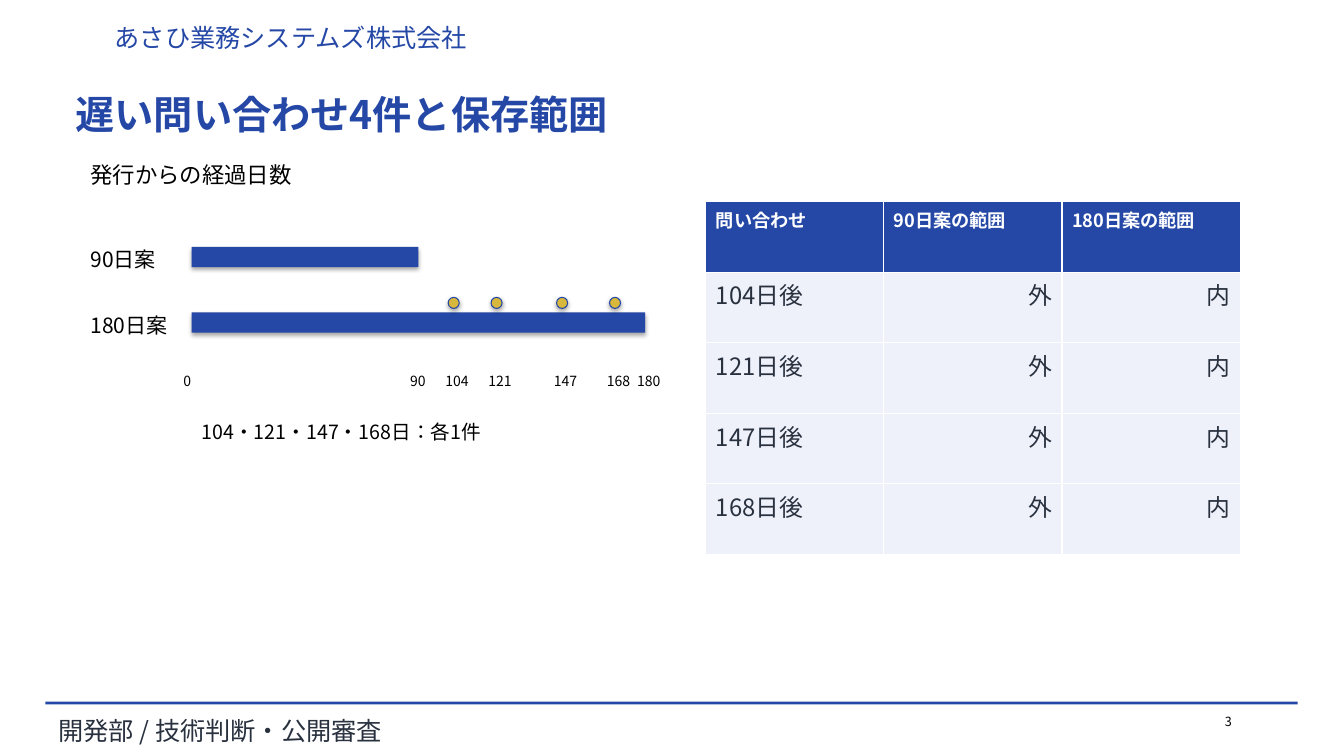
from lxml import etree
from pptx import Presentation
from pptx.dml.color import RGBColor
from pptx.enum.lang import MSO_LANGUAGE_ID
from pptx.enum.shapes import MSO_SHAPE
from pptx.enum.text import MSO_ANCHOR, PP_ALIGN
from pptx.oxml.ns import qn
from pptx.util import Inches, Pt

RECTANGLE, OVAL = MSO_SHAPE.RECTANGLE, MSO_SHAPE.OVAL
LEFT, RIGHT, TOP = PP_ALIGN.LEFT, PP_ALIGN.RIGHT, MSO_ANCHOR.TOP
JAPANESE = MSO_LANGUAGE_ID.JAPANESE
FONT = "Noto Sans CJK JP"
COLORS = {"blue": "2548A6", "outline": "2145A5", "gold": "D8B83C",
          "ink": "29313F", "black": "000000", "white": "FFFFFF", "pale": "EEF1FA"}


def write(frame, text, size, color, bold=False, align=LEFT):
    para = frame.paragraphs[0]
    para.alignment = align
    span = para.add_run()
    span.text = text
    formats = {"name": FONT, "size": Pt(size), "bold": bold, "language_id": JAPANESE}
    for name, value in formats.items():
        setattr(span.font, name, value)
    span.font.color.rgb = RGBColor.from_string(COLORS[color])
    east_asian = etree.Element(qn("a:ea"), typeface=FONT)
    span.font._element.find(qn("a:latin")).addnext(east_asian)


def draw(kind, left, top, width, height, fill, shadow=False):
    shape = page.shapes.add_shape(kind, Inches(left), Inches(top), Inches(width), Inches(height))
    shape.fill.solid()
    shape.fill.fore_color.rgb = RGBColor.from_string(COLORS[fill])
    shape.line.fill.background()
    if not shadow:
        shape.shadow.inherit = False
    return shape


deck = Presentation()
deck.slide_width, deck.slide_height = Inches(13.33), Inches(7.5)
page = deck.slides.add_slide(deck.slide_layouts[5])

draw(RECTANGLE, 0.45, 6.96, 12.42, 0.03, "blue")

title = page.shapes.title
title.left, title.top, title.width, title.height = Inches(0.65), Inches(0.85), Inches(12), Inches(1)
title.text_frame.vertical_anchor = TOP
write(title.text_frame, "遅い問い合わせ4件と保存範囲", 28, "blue", bold=True)

plans = [(90, 2.45), (180, 3.1)]
inquiries = [104, 121, 147, 168]
axis_left, day_width = 1.9, 0.025

labels = [
    (1.04, 0.17, 7, 0.34, "あさひ業務システムズ株式会社", 18, "blue"),
    (0.48, 7.05, 10, 0.26, "開発部 / 技術判断・公開審査", 18, "ink"),
    (12.05, 7.03, 0.6, 0.3, "3", 9, "black"),
    (0.8, 1.55, 5.8, 0.35, "発行からの経過日数", 16, "black"),
    (1.9, 4.12, 4.8, 0.4, "104・121・147・168日：各1件", 14, "black"),
]
for days, top in plans:
    draw(RECTANGLE, axis_left, top, days * day_width, 0.2, "blue", shadow=True)
    labels.append((0.8, top - 0.05, 1.1, 0.4, f"{days}日案", 15, "black"))
for days in [0, 90, *inquiries, 180]:
    labels.append((axis_left + days * day_width - 0.18, 3.65, 0.55, 0.35, str(days), 10, "black"))

for left, top, width, height, text, size, color in labels:
    box = page.shapes.add_textbox(Inches(left), Inches(top), Inches(width), Inches(height))
    box.text_frame.word_wrap = True
    write(box.text_frame, text, size, color)

for days in inquiries:
    dot = draw(OVAL, axis_left + days * day_width - 0.055, 2.95, 0.11, 0.11, "gold", shadow=True)
    dot.line.color.rgb = RGBColor.from_string(COLORS["outline"])
    dot.line.width = Pt(0.75)

rows = [["問い合わせ", "90日案の範囲", "180日案の範囲"]]
for days in inquiries:
    rows.append([f"{days}日後"] + ["内" if days <= limit else "外" for limit, top in plans])
table = page.shapes.add_table(len(rows), 3, Inches(7), Inches(2), Inches(5.3), Inches(3.5)).table
for row, texts in enumerate(rows):
    header = row == 0
    for column, text in enumerate(texts):
        cell = table.cell(row, column)
        cell.fill.solid()
        cell.fill.fore_color.rgb = RGBColor.from_string(COLORS["blue" if header else "pale"])
        write(cell.text_frame, text, 13 if header else 17, "white" if header else "ink",
              bold=header, align=LEFT if header or column == 0 else RIGHT)

deck.save("out.pptx")
